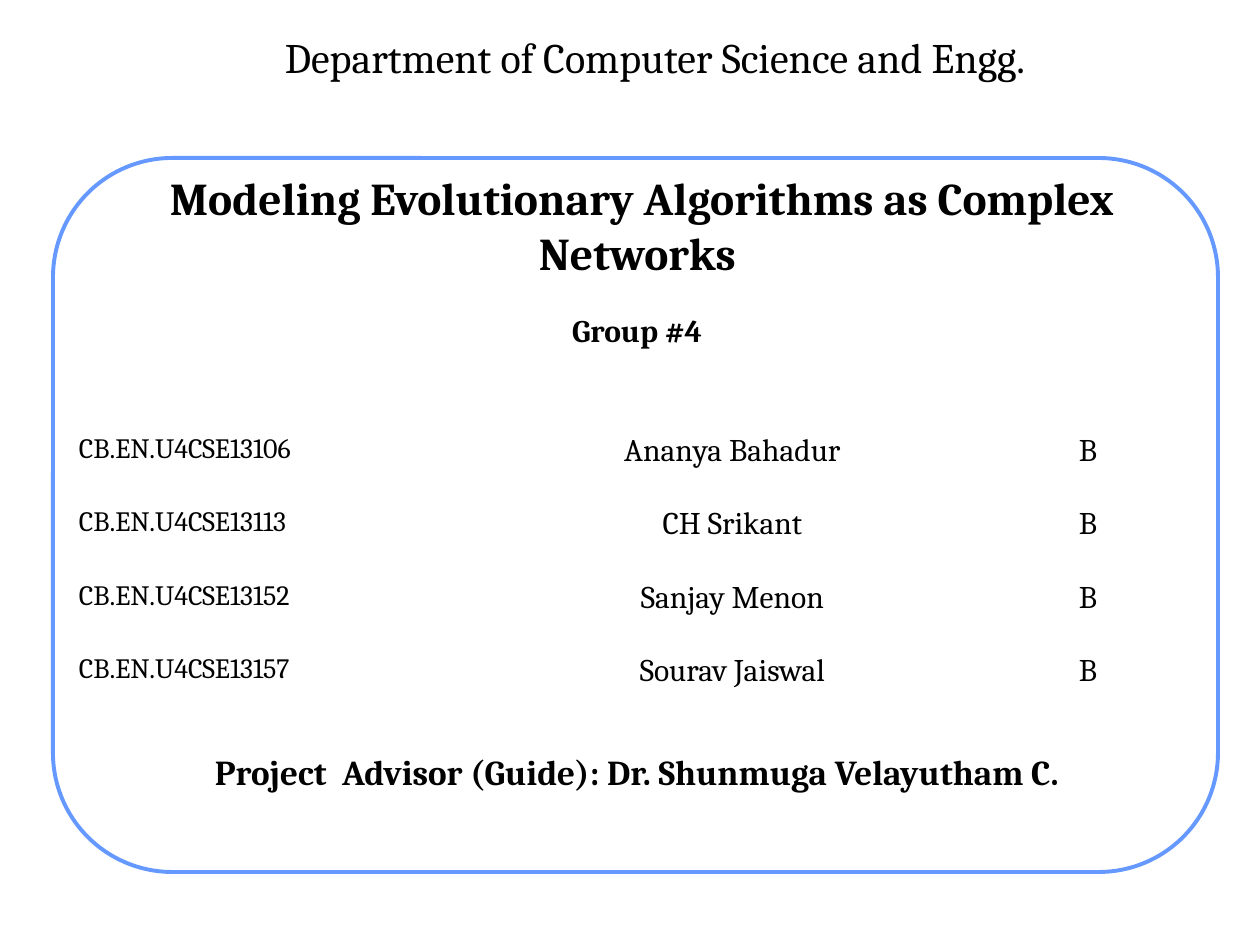
import pptx
import pptx.dml.color
import pptx.enum.shapes
import pptx.enum.text
import pptx.util

PX = 914400 / 126
FONT = "Cambria"
INK = "000000"
CENTER = pptx.enum.text.PP_ALIGN.CENTER
LEFT = pptx.enum.text.PP_ALIGN.LEFT
TOP = pptx.enum.text.MSO_ANCHOR.TOP
MIDDLE = pptx.enum.text.MSO_ANCHOR.MIDDLE

STUDENTS = [
    ("CB.EN.U4CSE13106", "Ananya Bahadur", "B"),
    ("CB.EN.U4CSE13113", "CH Srikant", "B"),
    ("CB.EN.U4CSE13152", "Sanjay Menon", "B"),
    ("CB.EN.U4CSE13157", "Sourav Jaiswal", "B"),
]
# width in px, text size in points, alignment
COLUMNS = [(333, 16, LEFT), (667, 18, CENTER), (121, 18, LEFT)]


def px(length):
    return pptx.util.Emu(round(length * PX))


def color(hex_string):
    return pptx.dml.color.RGBColor.from_string(hex_string)


def place(shape, box):
    shape.left, shape.top, shape.width, shape.height = map(px, box)


def style(paragraph, size, align=CENTER, bold=False):
    paragraph.alignment = align
    for run in paragraph.runs:
        run.font.name = FONT
        run.font.size = pptx.util.Pt(size)
        run.font.bold = bold
        run.font.color.rgb = color(INK)


def set_frame(frame, anchor, inset):
    frame.word_wrap = True
    frame.auto_size = pptx.enum.text.MSO_AUTO_SIZE.NONE
    frame.vertical_anchor = anchor
    frame.margin_left = frame.margin_right = px(inset)
    frame.margin_top = frame.margin_bottom = px(6)


def add_panel(slide, box):
    """Draw the rounded panel behind the placeholders."""
    panel = slide.shapes.add_shape(
        pptx.enum.shapes.MSO_SHAPE.ROUNDED_RECTANGLE, *map(px, box))
    panel.adjustments[0] = 0.167
    panel.shadow.inherit = False
    panel.fill.solid()
    panel.fill.fore_color.rgb = color("FFFFFF")
    panel.line.color.rgb = color("6699FF")
    panel.line.width = pptx.util.Pt(2.25)
    slide.shapes.title.element.addprevious(panel.element)


def add_department(slide, box):
    department = slide.shapes.add_textbox(*map(px, box)).text_frame
    set_frame(department, TOP, 13)
    department.text = "Department of Computer Science and Engg."
    style(department.paragraphs[0], 24)


def fill_title(slide, box):
    title = slide.shapes.title
    place(title, box)
    set_frame(title.text_frame, MIDDLE, 6)
    title.text_frame.text = " Modeling Evolutionary Algorithms as Complex Networks"
    style(title.text_frame.paragraphs[0], 26, bold=True)


def fill_body(slide, box):
    """Put the group above the table and the advisor below it."""
    body = slide.placeholders[1]
    place(body, box)
    set_frame(body.text_frame, TOP, 6)
    body.text_frame.text = "Group #4\nProject  Advisor (Guide): Dr. Shunmuga Velayutham C."
    group, advisor = body.text_frame.paragraphs
    style(group, 18, bold=True)
    style(advisor, 20, bold=True)
    group.space_before = pptx.util.Pt(0)
    advisor.space_before = pptx.util.Pt(229.4)


def add_students(slide, box):
    table = slide.shapes.add_table(
        len(STUDENTS), len(COLUMNS), *map(px, box)).table
    table.first_row = table.horz_banding = False
    for column, (width, _, _) in zip(table.columns, COLUMNS):
        column.width = px(width)
    for r, student in enumerate(STUDENTS):
        table.rows[r].height = px(box[3] / len(STUDENTS))
        for c, (text, (_, size, align)) in enumerate(zip(student, COLUMNS)):
            cell = table.cell(r, c)
            cell.fill.background()
            cell.margin_left = cell.margin_right = px(13)
            cell.margin_top = cell.margin_bottom = px(6)
            cell.text = text
            style(cell.text_frame.paragraphs[0], size, align)


def main():
    deck = pptx.Presentation()
    deck.slide_width, deck.slide_height = px(1260), px(945)
    slide = deck.slides.add_slide(deck.slide_layouts[0])
    add_panel(slide, (53, 158, 1165, 714))
    fill_title(slide, (102, 157, 1071, 136))
    fill_body(slide, (86, 305, 1102, 558))
    add_department(slide, (176, 25, 958, 67))
    add_students(slide, (66, 427, 1121, 294))
    deck.save("out.pptx")


if __name__ == "__main__":
    main()
